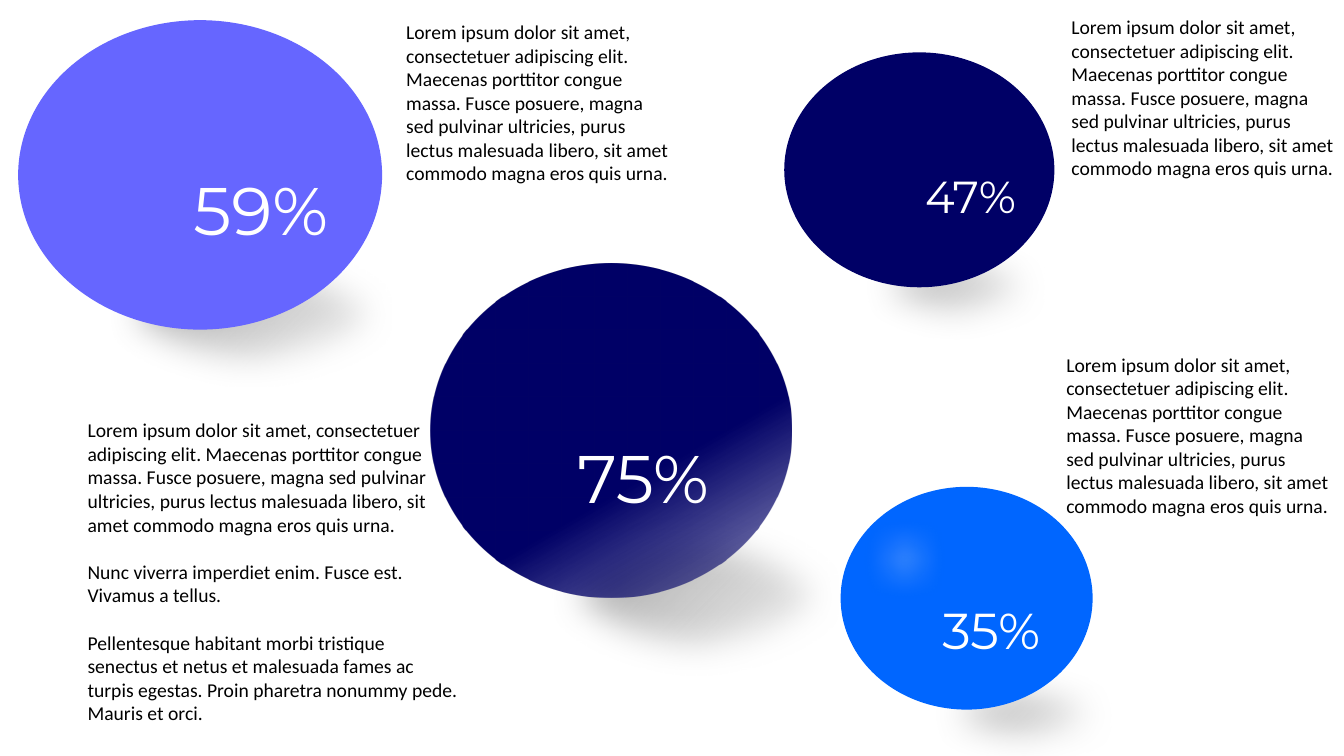
from lxml import etree
from pptx import Presentation
from pptx.dml.color import RGBColor
from pptx.enum import shapes
from pptx.oxml.ns import qn
from pptx.util import Inches, Pt

LOREM = ("Lorem ipsum dolor sit amet, consectetuer adipiscing elit. Maecenas porttitor "
         "congue massa. Fusce posuere, magna sed pulvinar ultricies, purus lectus "
         "malesuada libero, sit amet commodo magna eros quis urna.")
NUNC = "Nunc viverra imperdiet enim. Fusce est. Vivamus a tellus."
PELLENTESQUE = ("Pellentesque habitant morbi tristique senectus et netus et malesuada "
                "fames ac turpis egestas. Proin pharetra nonummy pede. Mauris et orci.")

# Gradients: stops of (position %, colour, opacity %), then the angle; None is radial
SHADE = ([(22, "A0A0A0", 90), (67, "C5C5C5", 60), (97, "E3E3E3", 80)], 45)
SHEEN = ([(0, "000066", 40), (38, "000066", 100), (100, "000066", 100)], 240)
PINK_GLINT = ([(10, "FF99FF", 20), (49, "F2F2F2", 100), (91, "FFCCFF", 100)], None)
GREY_GLINT = ([(10, "E7E6E6", 100), (49, "F2F2F2", 100), (91, "FFCCFF", 100)], None)

SOFT = Pt(25)
# Boxes are left, top, width, height in percent of the slide.
# Each ball: its ellipses (box, fill, soft edge) from back to front, then its label
BALLS = [
    ([((61.95, 30, 18.45, 16.13), SHADE, SOFT),
      ((58.35, 6.93, 20.1, 31.07), "000066", 0),
      ((58.88, 8.67, 8.63, 11.73), PINK_GLINT, SOFT)],
     "47%", (68.1, 21.6, 13.43, 8.53), 32),
    ([((66.83, 86.93, 18.75, 15.2), SHADE, SOFT),
      ((62.55, 64.4, 18.75, 29.47), "0066FF", 0),
      ((63, 66.4, 8.63, 15.2), GREY_GLINT, SOFT)],
     "35%", (69.38, 78.53, 12.83, 9.47), 36),
    ([((39.53, 67.33, 24.6, 22.8), SHADE, SOFT),
      ((32.03, 34.93, 26.85, 44.13), SHEEN, 0)],
     "75%", (42.23, 57.07, 13.43, 12.13), 48),
    ([((6.3, 30.93, 24.83, 21.2), SHADE, SOFT),
      ((1.35, 2.67, 27.08, 40.93), "6666FF", 0)],
     "59%", (13.65, 21.6, 13.43, 12.13), 48),
]
NOTES = [
    ([LOREM, NUNC, PELLENTESQUE], (5.78, 54.67, 29.18, 45.33)),
    ([LOREM], (29.48, 2, 21.3, 26.53)),
    ([LOREM], (78.6, 46, 21.3, 26.53)),
    ([LOREM], (78.98, 1.33, 21.3, 26.53)),
]

deck = Presentation()
deck.slide_width, deck.slide_height = Inches(13.333), Inches(7.5)
slide = deck.slides.add_slide(deck.slide_layouts[6])


def place(box):
    """Turn a box in percent of the slide into lengths."""
    sides = (deck.slide_width, deck.slide_height) * 2
    return [round(share * side / 100) for share, side in zip(box, sides)]


def child(parent, tag, **attributes):
    values = {name: str(value) for name, value in attributes.items()}
    return etree.SubElement(parent, qn(tag), values)


def fill_gradient(shape, stops, angle):
    shape.fill.background()
    empty_fill = shape._element.spPr.find(qn("a:noFill"))
    gradient = etree.Element(qn("a:gradFill"), rotWithShape="1")
    stop_list = child(gradient, "a:gsLst")
    for position, colour, opacity in stops:
        stop = child(stop_list, "a:gs", pos=position * 1000)
        tint = child(stop, "a:srgbClr", val=colour)
        if opacity < 100:
            child(tint, "a:alpha", val=opacity * 1000)
    if angle is None:
        radial = child(gradient, "a:path", path="circle")
        child(radial, "a:fillToRect", l=100000, t=100000)
    else:
        child(gradient, "a:lin", ang=angle * 60000, scaled=0)
    empty_fill.getparent().replace(empty_fill, gradient)


def add_ellipse(box, fill, soft_edge):
    ellipse = slide.shapes.add_shape(shapes.MSO_SHAPE.OVAL, *place(box))
    ellipse.line.fill.background()
    ellipse.shadow.inherit = False
    if isinstance(fill, str):
        ellipse.fill.solid()
        ellipse.fill.fore_color.rgb = RGBColor.from_string(fill)
    else:
        fill_gradient(ellipse, *fill)
    if soft_edge:
        effects = ellipse._element.spPr.find(qn("a:effectLst"))
        child(effects, "a:softEdge", rad=int(soft_edge))


def add_text(paragraphs, box, font, size, colour):
    frame = slide.shapes.add_textbox(*place(box)).text_frame
    frame.word_wrap = True
    frame.text = "\n".join(paragraphs)
    for index, paragraph in enumerate(frame.paragraphs):
        if index:
            paragraph.space_before = Pt(17)
        for run in paragraph.runs:
            run.font.name, run.font.size = font, Pt(size)
            run.font.color.rgb = RGBColor.from_string(colour)


for ellipses, percent, label_box, label_size in BALLS:
    for ellipse_parts in ellipses:
        add_ellipse(*ellipse_parts)
    add_text([percent], label_box, "Montserrat", label_size, "FFFFFF")

for note, note_box in NOTES:
    add_text(note, note_box, "Calibri", 14, "000000")

deck.save("out.pptx")
